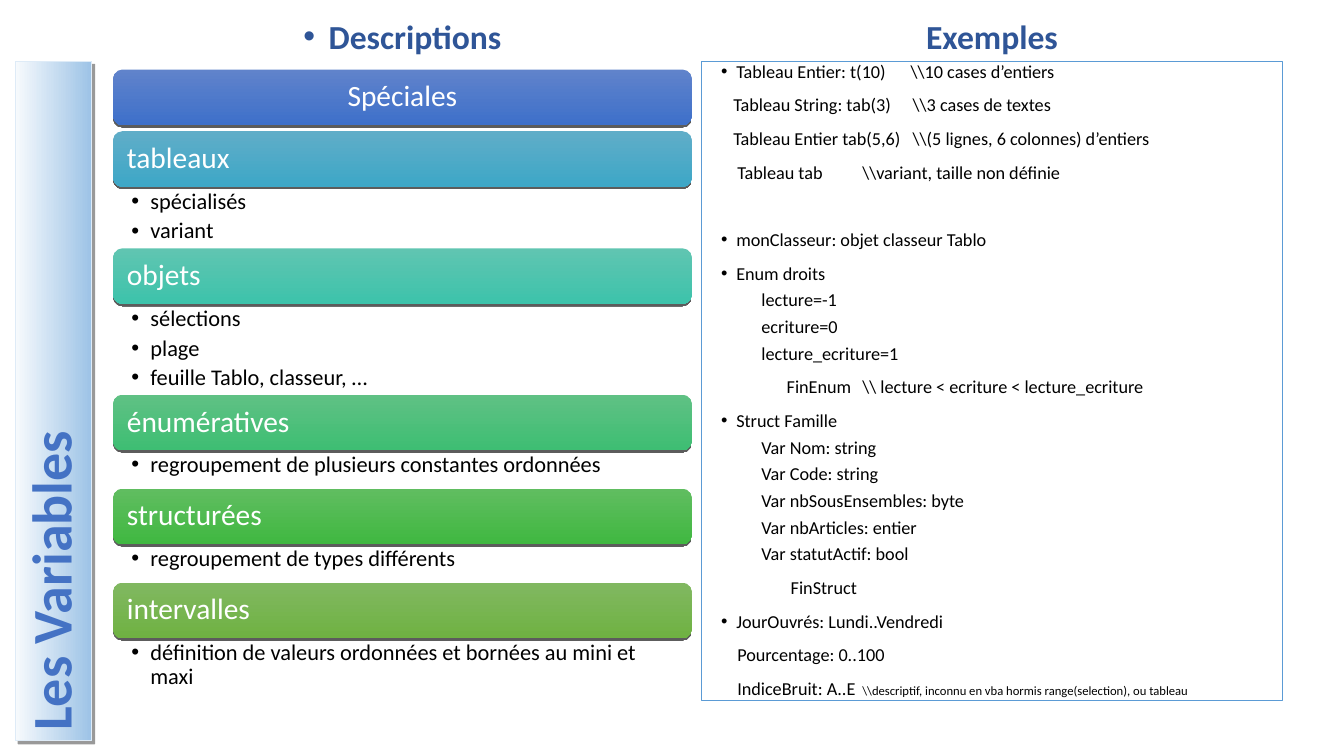
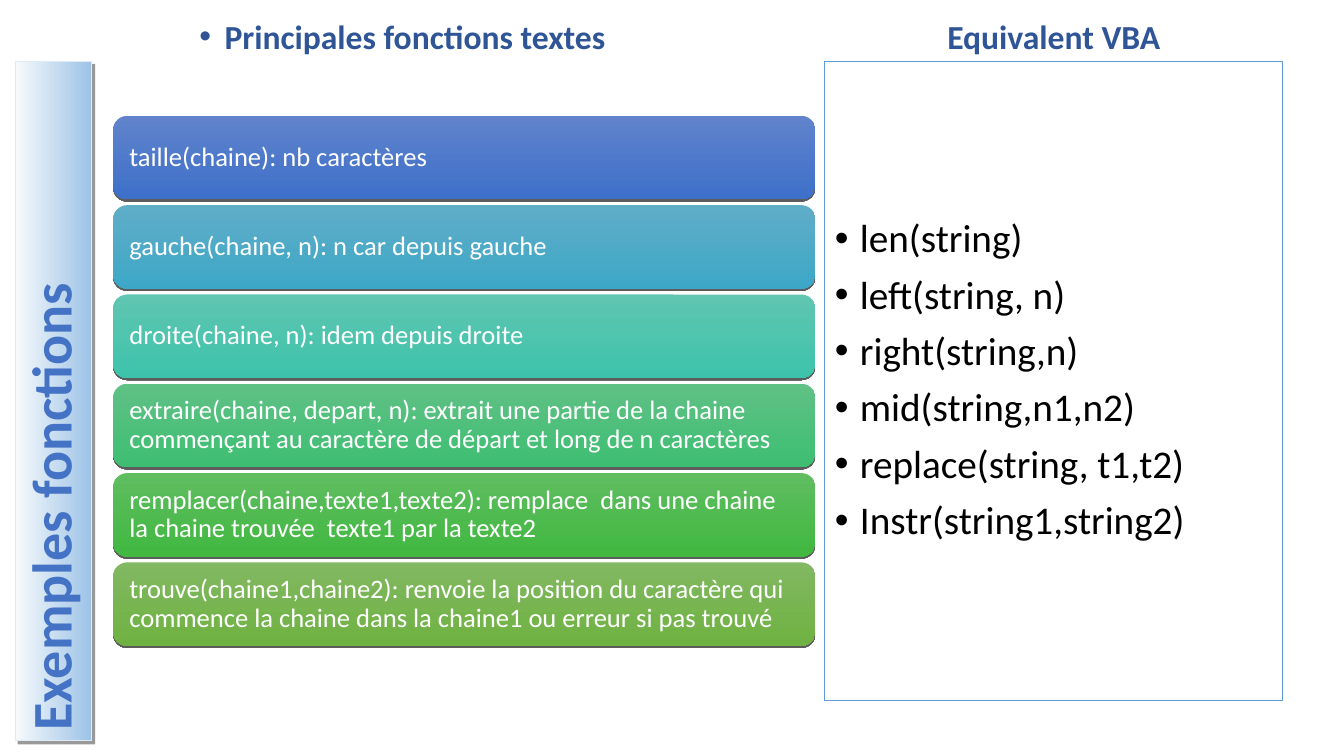
from lxml import etree
from pptx import Presentation, util as u
from pptx.dml.color import RGBColor
from pptx.enum import shapes, text
from pptx.oxml.ns import qn

W, H = 13.33, 7.5
FONT = "Calibri"
TITLE, HEADING, BLACK, WHITE = "4472C4", "2F5597", "000000", "FFFFFF"
FRAME, BAND_EDGE, BAND = "5B9BD5", "DEEBF7", ("F7FAFD", "9DC3E6")
BARS = [("6083CB", "3E70CA"), ("60ADC8", "3DA7C7"), ("60C5B1", "3DC3AB"),
        ("5FC184", "3EBE73"), ("60BD60", "40B841"), ("81B861", "6FB242")]
CENTER = text.PP_ALIGN.CENTER
MIDDLE, TOP, BOTTOM = (text.MSO_ANCHOR.MIDDLE, text.MSO_ANCHOR.TOP,
                       text.MSO_ANCHOR.BOTTOM)

# Grid of 100 columns by 100 rows
LEFT, RIGHT = 8.42, 95.45
HEAD_TOP, HEAD_ROWS = 1.33, 6.8
BODY_TOP, BODY_ROWS = 8.13, 84.53
GUTTER = 0.7


def rgb(code):
    return RGBColor.from_string(code)


def place(box):
    x, y, w, h = box
    return [u.Inches(v) for v in (x * W / 100, y * H / 100, w * W / 100, h * H / 100)]


def child(parent, tag, **attrs):
    return etree.SubElement(parent, qn(tag), {k: str(v) for k, v in attrs.items()})


def gradient(sp, colours, angle):
    sp.fill.gradient()
    sp.fill.gradient_angle = angle
    for stop, colour in zip(sp.fill.gradient_stops, colours):
        stop.color.rgb = rgb(colour)


def drop_shadow(sp, distance, degrees, opacity):
    effects = sp._element.spPr.find(qn("a:effectLst"))
    shadow = child(effects, "a:outerShdw", blurRad=0, dist=u.Pt(distance),
                   dir=degrees * 60000, algn="tl", rotWithShape=0)
    colour = child(shadow, "a:srgbClr", val=BLACK)
    child(colour, "a:alpha", val=opacity * 1000)


def add_box(s, box, kind=shapes.MSO_SHAPE.RECTANGLE, line=None):
    sp = s.shapes.add_shape(kind, *place(box))
    sp.shadow.inherit = False
    sp.fill.background()
    if line:
        sp.line.color.rgb = rgb(line)
        sp.line.width = u.Pt(0.74)
    else:
        sp.line.fill.background()
    return sp


def frame_text(sp, anchor, insets=(0.1, 0.05, 0.1, 0.05)):
    tf = sp.text_frame
    tf.word_wrap = True
    tf.vertical_anchor = anchor
    (tf.margin_left, tf.margin_top,
     tf.margin_right, tf.margin_bottom) = map(u.Inches, insets)
    return tf


def add_line(tf, words, size, colour, bold=False, align=text.PP_ALIGN.LEFT,
             before=0, after=0, margin=0, indent=0, bullet=False, tab=None):
    first = tf.paragraphs[0]
    p = tf.add_paragraph() if first.runs else first
    p.alignment, p.line_spacing = align, 0.9
    p.space_before, p.space_after = u.Pt(before), u.Pt(after)
    pPr = p._p.get_or_add_pPr()
    pPr.set("marL", str(u.Inches(margin)))
    pPr.set("indent", str(u.Inches(indent)))
    if bullet:
        child(child(pPr, "a:buClr"), "a:srgbClr", val=colour)
        child(pPr, "a:buFont", typeface="Arial")
        child(pPr, "a:buChar", char="•")
    else:
        child(pPr, "a:buNone")
    if tab:
        child(child(pPr, "a:tabLst"), "a:tab", pos=u.Inches(tab), algn="l")
    p.font.name, p.font.size, p.font.bold = FONT, u.Pt(size), bold
    p.font.color.rgb = rgb(colour)
    p.add_run().text = words
    return p


# Vertical title band
def title_band(s, title):
    sp = add_box(s, (1.13, BODY_TOP, 5.7, 89.87), line=BAND_EDGE)
    gradient(sp, BAND, 0)
    drop_shadow(sp, 3, 45, 40)
    tf = frame_text(sp, MIDDLE, (0.05, 0.1, 0.05, 0.1))
    tf._txBody.bodyPr.set("vert", "vert270")
    add_line(tf, title, 40, TITLE, bold=True)


# Column heading
def heading(s, words, x, cols, **style):
    sp = s.shapes.add_textbox(*place((x, HEAD_TOP, cols, HEAD_ROWS)))
    add_line(frame_text(sp, BOTTOM), words, 24, HEADING, bold=True,
             align=CENTER, before=10, **style)


# Coloured bar
def bar(s, box, words, colours, size, inset, after, align=text.PP_ALIGN.LEFT):
    sp = add_box(s, box, shapes.MSO_SHAPE.ROUNDED_RECTANGLE)
    gradient(sp, colours, 270)
    drop_shadow(sp, 1.5, 90, 63)
    add_line(frame_text(sp, MIDDLE, [inset] * 4), words, size, WHITE,
             align=align, after=after)


# Bars with the bullets that belong to each
def category_list(s, box, categories):
    x, y, cols, rows = box
    for (name, items, gap), colours in zip(categories, BARS):
        bar(s, (x, y, cols, rows), name, colours, 21, 0.11, 9,
            text.PP_ALIGN.LEFT if items else CENTER)
        y += rows
        if items:
            sp = s.shapes.add_textbox(*place((x, y, cols, gap)))
            tf = frame_text(sp, TOP, (0.18, 0.03, 0.16, 0.03))
            for item in items:
                add_line(tf, item, 16, BLACK, after=4, margin=0.19,
                         indent=-0.19, bullet=True)
        y += gap


# Evenly spaced bars
def function_list(s, box, functions, gap=0.77):
    x, y, cols, rows = box
    height = (rows - gap * (len(functions) - 1)) / len(functions)
    for i, (words, colours) in enumerate(zip(functions, BARS)):
        bar(s, (x, y + i * (height + gap), cols, height), words, colours,
            19, 0.12, 8)


# Framed examples on the right
def example_panel(s, x, lines, size):
    sp = add_box(s, (x, BODY_TOP, RIGHT - x, BODY_ROWS), line=FRAME)
    tf = frame_text(sp, MIDDLE)
    for words, style in lines:
        p = add_line(tf, words, size, BLACK, **style)
    return p


def two_column_slide(prs, title, left_head, right_head, left_cols):
    s = prs.slides.add_slide(prs.slide_layouts[6])
    x = LEFT + left_cols + GUTTER
    title_band(s, title)
    heading(s, left_head, LEFT, 43.05, margin=0.25, indent=-0.25, bullet=True)
    heading(s, right_head, x, RIGHT - x)
    return s, x


def bulleted(hang, **more):
    return dict(before=10, margin=0.25, indent=-hang, bullet=True) | more


def plain(start, tab=None):
    return dict(before=10, indent=start, tab=tab)


CATEGORIES = [
    ("Spéciales", [], 0.8),
    ("tableaux", ["spécialisés", "variant"], 8.13),
    ("objets", ["sélections", "plage", "feuille Tablo, classeur, …"], 12),
    ("énumératives", ["regroupement de plusieurs constantes ordonnées"], 5.07),
    ("structurées", ["regroupement de types différents"], 5.07),
    ("intervalles",
     ["définition de valeurs ordonnées et bornées au mini et maxi"], 7.35),
]
ITEM, MEMBER = bulleted(0.15), dict(before=5, margin=0.5)
EXAMPLES = [
    ("Tableau Entier: t(10)\t\\\\10 cases d’entiers", bulleted(0.15, tab=1.98)),
    ("Tableau String: tab(3)\t\\\\3 cases de textes", plain(0.22, 2.27)),
    ("Tableau Entier tab(5,6)\t\\\\(5 lignes, 6 colonnes) d’entiers",
     plain(0.22, 2.4)),
    ("Tableau tab\t\\\\variant, taille non définie", plain(0.26, 2.28)),
    ("monClasseur: objet classeur Tablo", bulleted(0.15, before=34)),
    ("Enum droits", ITEM),
    ("lecture=-1", MEMBER),
    ("ecriture=0", MEMBER),
    ("lecture_ecriture=1", MEMBER),
    ("FinEnum\t\\\\ lecture < ecriture < lecture_ecriture", plain(0.75, 2.4)),
    ("Struct Famille", ITEM),
    ("Var Nom: string", MEMBER),
    ("Var Code: string", MEMBER),
    ("Var nbSousEnsembles: byte", MEMBER),
    ("Var nbArticles: entier", MEMBER),
    ("Var statutActif: bool", MEMBER),
    ("FinStruct", plain(0.79)),
    ("JourOuvrés: Lundi..Vendredi", ITEM),
    ("Pourcentage: 0..100", plain(0.26)),
    ("IndiceBruit: A..E\t", plain(0.26, 2.1)),
]
FUNCTIONS = [
    "taille(chaine): nb caractères",
    "gauche(chaine, n): n car depuis gauche",
    "droite(chaine, n): idem depuis droite",
    "extraire(chaine, depart, n): extrait une partie de la chaine "
    "commençant au caractère de départ et long de n caractères",
    "remplacer(chaine,texte1,texte2): remplace  dans une chaine la "
    "chaine trouvée  texte1 par la texte2",
    "trouve(chaine1,chaine2): renvoie la position du caractère qui "
    "commence la chaine dans la chaine1 ou erreur si pas trouvé",
]
EQUIVALENTS = ["len(string)", "left(string, n)", "right(string,n)",
               "mid(string,n1,n2)", "replace(string, t1,t2)",
               "Instr(string1,string2)"]


def variables_slide(prs):
    cols = 43.05
    s, x = two_column_slide(prs, "Les Variables", "Descriptions", "Exemples", cols)
    category_list(s, (LEFT, 9.2, cols, 7.36), CATEGORIES)
    p = example_panel(s, x, EXAMPLES, 13)
    r = p.add_run()
    r.text = "\\\\descriptif, inconnu en vba hormis range(selection), ou tableau"
    r.font.size = u.Pt(9)


def functions_slide(prs):
    cols = 52.25
    s, x = two_column_slide(prs, "Exemples fonctions",
                            "Principales fonctions textes", "Equivalent VBA", cols)
    function_list(s, (LEFT, 15.33, cols, 70.1), FUNCTIONS)
    example_panel(s, x, [(words, bulleted(0.25)) for words in EQUIVALENTS], 28)


prs = Presentation()
prs.slide_width, prs.slide_height = u.Inches(W), u.Inches(H)
variables_slide(prs)
functions_slide(prs)
prs.save("out.pptx")
